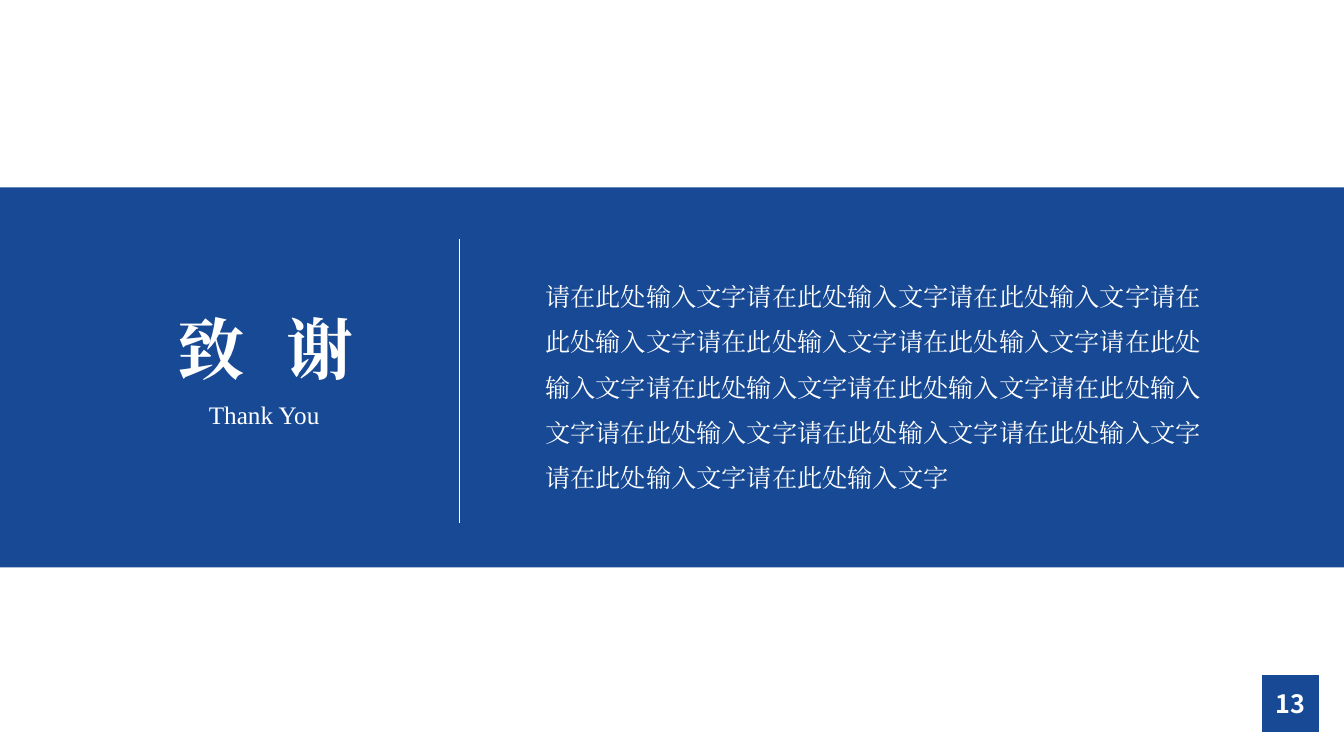
from pptx import Presentation
from pptx.dml.color import RGBColor
from pptx.enum.shapes import MSO_CONNECTOR, MSO_SHAPE
from pptx.enum.text import MSO_ANCHOR, MSO_AUTO_SIZE, PP_ALIGN
from pptx.oxml.ns import qn
from pptx.util import Inches, Pt
from lxml import etree

BLUE = RGBColor(0x17, 0x49, 0x94)
WHITE = RGBColor(0xFF, 0xFF, 0xFF)
SERIF = "Times New Roman"
SANS = "Noto Sans CJK SC"
LEFT, CENTER = PP_ALIGN.LEFT, PP_ALIGN.CENTER
TOP, MIDDLE = MSO_ANCHOR.TOP, MSO_ANCHOR.MIDDLE
RECT = MSO_SHAPE.RECTANGLE
STRAIGHT = MSO_CONNECTOR.STRAIGHT
NO_AUTOFIT = MSO_AUTO_SIZE.NONE
TITLE_ONLY = 5
SLIDE_W, SLIDE_H = 13.33, 7.5


class ClosingSlide:
    def __init__(self, prs):
        self.s = prs.slides.add_slide(prs.slide_layouts[TITLE_ONLY])

    def set_text(self, sp, text, size, font=SERIF, bold=False, align=LEFT,
                 anchor=TOP, spacing=None, tracking=None, wrap=True):
        tf = sp.text_frame
        tf.text = text
        tf.word_wrap = wrap
        tf.auto_size = NO_AUTOFIT
        tf.vertical_anchor = anchor
        p = tf.paragraphs[0]
        p.alignment = align
        p.line_spacing = spacing
        r = p.runs[0]
        r.font.size = Pt(size)
        r.font.bold = bold
        r.font.name = font
        r.font.color.rgb = WHITE
        rPr = r.font._element
        ea = etree.Element(qn("a:ea"), typeface=font)
        rPr.find(qn("a:latin")).addnext(ea)
        if tracking:
            rPr.set("spc", str(tracking * 100))

    def block(self, x, y, w, h, outlined=False):
        sp = self.s.shapes.add_shape(RECT, Inches(x), Inches(y), Inches(w), Inches(h))
        sp.shadow.inherit = False
        sp.fill.solid()
        sp.fill.fore_color.rgb = BLUE
        if outlined:
            sp.line.color.rgb = BLUE
            sp.line.width = Pt(0.75)
        else:
            sp.line.fill.background()
        return sp

    def title(self, x, y, w, h, text, size, **style):
        sp = self.s.shapes.title
        sp.left, sp.top, sp.width, sp.height = map(Inches, (x, y, w, h))
        self.s.shapes._spTree.append(sp._element)
        self.set_text(sp, text, size, **style)

    def text(self, x, y, w, h, text, size, **style):
        sp = self.s.shapes.add_textbox(Inches(x), Inches(y), Inches(w), Inches(h))
        self.set_text(sp, text, size, **style)

    def divider(self, x, top, bottom):
        line = self.s.shapes.add_connector(
            STRAIGHT, Inches(x), Inches(top), Inches(x), Inches(bottom))
        line.line.color.rgb = WHITE
        line.line.width = Pt(1)
        etree.SubElement(line._element.spPr, qn("a:effectLst"))


def main():
    prs = Presentation()
    prs.slide_width, prs.slide_height = Inches(SLIDE_W), Inches(SLIDE_H)
    slide = ClosingSlide(prs)
    page = slide.block(12.52, 6.7, 0.56, 0.56, outlined=True)
    slide.set_text(page, "13", 18, font=SANS, bold=True, align=CENTER,
                   anchor=MIDDLE, wrap=False)
    slide.block(0, 1.86, SLIDE_W, 3.77)
    slide.title(1.66, 3, 2.37, 0.91, "致谢", 48, bold=True, tracking=30, wrap=False)
    slide.text(1.68, 3.91, 1.88, 0.4, "Thank You", 18, align=CENTER)
    slide.divider(4.56, 2.37, 5.19)
    slide.text(5.31, 2.59, 6.92, 2.37, "请在此处输入文字" * 15, 18, spacing=1.5)
    prs.save("out.pptx")


if __name__ == "__main__":
    main()
